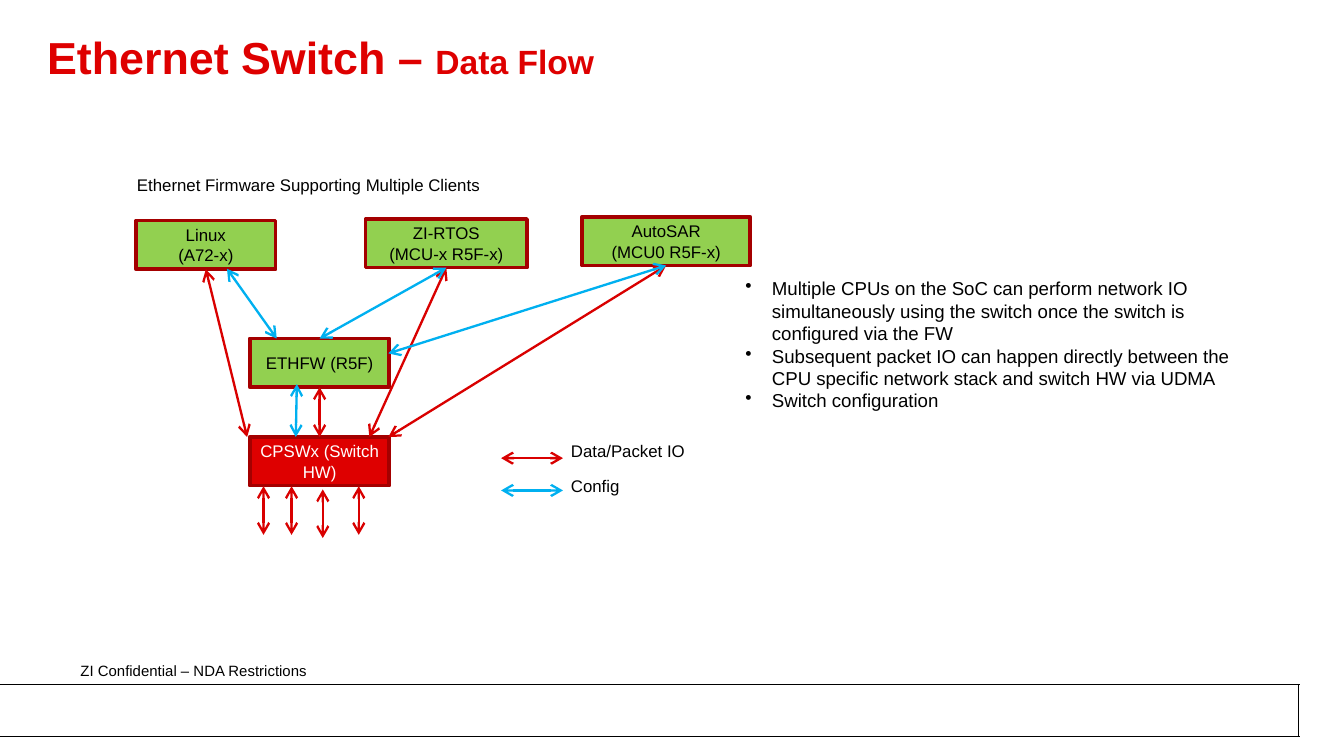
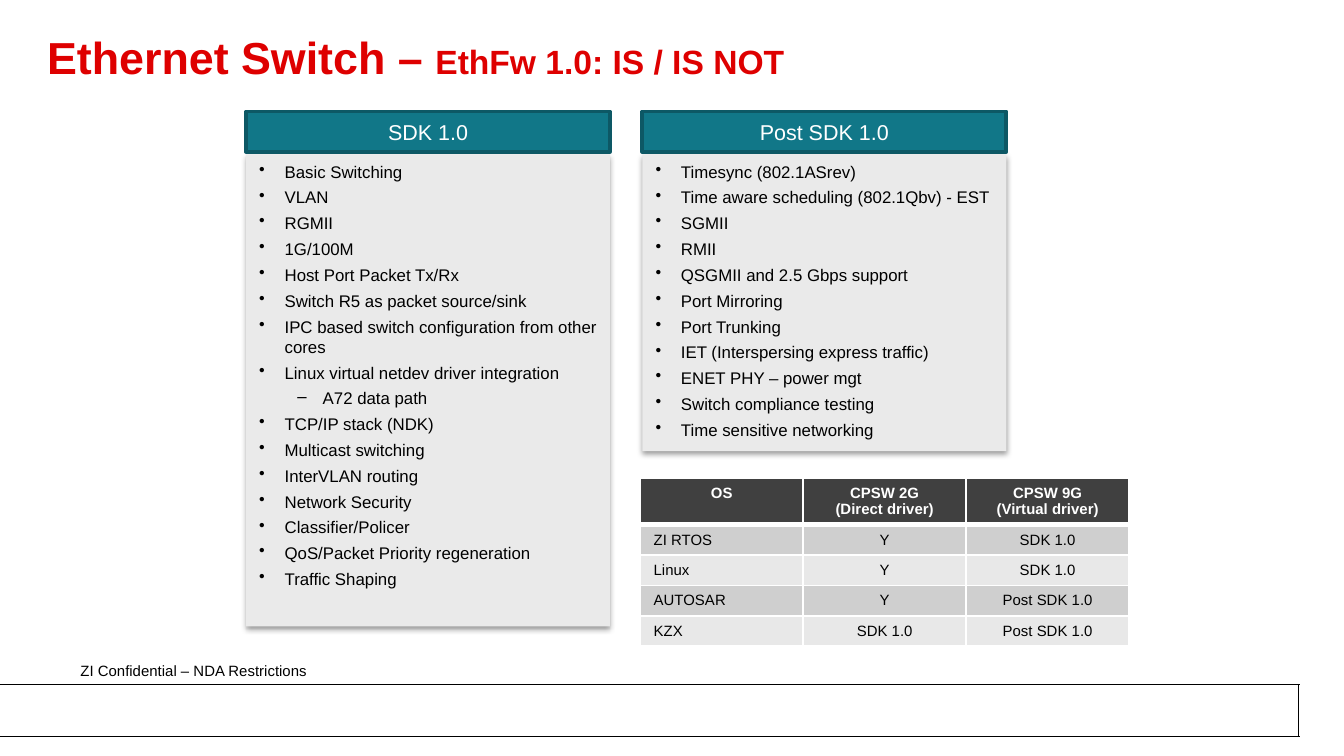
from lxml import etree
from pptx import Presentation
from pptx.dml.color import RGBColor
from pptx.enum import shapes, text
from pptx.oxml import parse_xml
from pptx.oxml import ns
from pptx.util import Cm, Pt

RED, WIRE, EDGE, BLUE = "DE0000", "D90000", "A40000", "00B0F0"
GREEN, TEAL, DEEP = "92D050", "117788", "0D5865"
BLACK, WHITE, PANEL = "000000", "FFFFFF", "EAEAEA"
DARK, BANDS = "404040", ("CFCFCF", "E8E8E8")
LEFT, MID = text.PP_ALIGN.LEFT, text.PP_ALIGN.CENTER
TIGHT = (0.15, 0.08)
WIDE = (0.25, 0.13)

DONE = [
    "Basic Switching", "VLAN", "RGMII", "1G/100M",
    "Host Port Packet Tx/Rx", "Switch R5 as packet source/sink",
    "IPC based switch configuration from other cores",
    "Linux virtual netdev driver integration", "– A72 data path",
    "TCP/IP stack (NDK)", "Multicast switching", "InterVLAN routing",
    "Network Security", "Classifier/Policer",
    "QoS/Packet Priority regeneration", "Traffic Shaping",
]
LATER = [
    "Timesync (802.1ASrev)", "Time aware scheduling (802.1Qbv) - EST",
    "SGMII", "RMII", "QSGMII and 2.5 Gbps support", "Port Mirroring",
    "Port Trunking", "IET (Interspersing express traffic)",
    "ENET PHY – power mgt", "Switch compliance testing",
    "Time sensitive networking",
]
NOTES = [
    "Multiple CPUs on the SoC can perform network IO simultaneously "
    "using the switch once the switch is configured via the FW",
    "Subsequent packet IO can happen directly between the CPU specific "
    "network stack and switch HW via UDMA",
    "Switch configuration",
]
GRID = [
    ["OS", "CPSW 2G\n(Direct driver)", "CPSW 9G\n(Virtual driver)"],
    ["ZI RTOS", "Y", "SDK 1.0"],
    ["Linux", "Y", "SDK 1.0"],
    ["AUTOSAR", "Y", "Post SDK 1.0"],
    ["KZX", "SDK 1.0", "Post SDK 1.0"],
]


def paint(hue):
    return RGBColor.from_string(hue)


def style(run, size, hue, bold=False):
    look = {"name": "Arial", "size": Pt(size), "bold": bold}
    for key, value in look.items():
        setattr(run.font, key, value)
    run.font.color.rgb = paint(hue)


def bullet(par, sign, left, hang):
    props = par._p.get_or_add_pPr()
    props.set("marL", str(Cm(left)))
    props.set("indent", str(-Cm(hang)))
    etree.SubElement(props, ns.qn("a:buChar")).set("char", sign)


def write(frame, lines, size, hue, align=LEFT, bold=False, hang=0, gap=0):
    for i, line in enumerate(lines):
        par = frame.paragraphs[0] if i == 0 else frame.add_paragraph()
        if hang:
            deep = line.startswith("– ")
            bullet(par, "–" if deep else "•", 1.2 if deep else hang, hang)
            line = line.removeprefix("– ")
        par.alignment = align
        if gap and i:
            par.space_before = Pt(gap)
        run = par.add_run()
        run.text = line
        style(run, size, hue, bold)


def setup(frame, pad, anchor, wrap=True):
    side, top = map(Cm, pad)
    look = {"margin_left": side, "margin_right": side, "margin_top": top,
            "margin_bottom": top, "vertical_anchor": anchor,
            "word_wrap": wrap, "auto_size": text.MSO_AUTO_SIZE.NONE}
    for key, value in look.items():
        setattr(frame, key, value)


def block(slide, area, fill, edge=None, lines=(), size=9, hue=BLACK,
          align=MID, anchor=text.MSO_ANCHOR.MIDDLE, pad=TIGHT, **more):
    box = slide.shapes.add_shape(shapes.MSO_SHAPE.RECTANGLE, *map(Cm, area))
    box.shadow.inherit = False
    box.fill.solid()
    box.fill.fore_color.rgb = paint(fill)
    if edge:
        box.line.color.rgb = paint(edge)
        box.line.width = Pt(2)
    else:
        box.line.fill.background()
    setup(box.text_frame, pad, anchor)
    write(box.text_frame, lines, size, hue, align, **more)
    return box


def label(slide, area, words, size=9, pad=TIGHT, wrap=True):
    box = slide.shapes.add_textbox(*map(Cm, area))
    setup(box.text_frame, pad, text.MSO_ANCHOR.TOP, wrap)
    write(box.text_frame, [words], size, BLACK)


def rule(slide, start, end, hue=BLACK, width=0.25):
    line = slide.shapes.add_connector(
        shapes.MSO_CONNECTOR.STRAIGHT, *map(Cm, start + end))
    line.line.color.rgb = paint(hue)
    line.line.width = Pt(width)
    etree.SubElement(line._element.spPr, ns.qn("a:effectLst"))
    return line


def wire(slide, start, end, hue=WIRE):
    ends = (start, end)
    spots = [(0, 0) if hasattr(e[0], "shape_id") else e for e in ends]
    line = rule(slide, *spots, hue, 1.25)
    for e, join in zip(ends, (line.begin_connect, line.end_connect)):
        if hasattr(e[0], "shape_id"):
            join(*e)
    for tag in ("a:headEnd", "a:tailEnd"):
        etree.SubElement(line.line._ln, ns.qn(tag)).set("type", "arrow")


def shade(box):
    old = box._element.spPr.find(ns.qn("a:effectLst"))
    new = parse_xml(
        f'<a:effectLst {ns.nsdecls("a")}><a:outerShdw blurRad="{Pt(3.1)}" '
        f'dist="{Pt(1.6)}" dir="5400000" rotWithShape="0">'
        f'<a:srgbClr val="{BLACK}"><a:alpha val="38000"/></a:srgbClr>'
        '</a:outerShdw></a:effectLst>')
    old.getparent().replace(old, new)


def border(cell, side, width):
    cell._tc.get_or_add_tcPr().append(parse_xml(
        f'<a:ln{side} {ns.nsdecls("a")} w="{Pt(width)}"><a:solidFill>'
        f'<a:srgbClr val="{WHITE}"/></a:solidFill></a:ln{side}>'))


def grid(slide, left, top, width, tall, row):
    rows, cols = len(GRID), len(GRID[0])
    table = slide.shapes.add_table(
        rows, cols, Cm(left), Cm(top), Cm(width * cols),
        Cm(tall + row * (rows - 1))).table
    for col in table.columns:
        col.width = Cm(width)
    for r, words in enumerate(GRID):
        head = r == 0
        table.rows[r].height = Cm(tall if head else row)
        for c, word in enumerate(words):
            cell = table.cell(r, c)
            for side in "LRTB":
                thick = (head and side == "B") or (r == 1 and side == "T")
                border(cell, side, 3 if thick else 1)
            cell.fill.solid()
            cell.fill.fore_color.rgb = paint(DARK if head else BANDS[1 - r % 2])
            write(cell.text_frame, word.split("\n"), 8,
                  WHITE if head else BLACK, MID if head or c else LEFT, head)


def page(deck, topic):
    slide = deck.slides.add_slide(deck.slide_layouts[5])
    block(slide, (0.13, 13.18, 24.28, 0.97), WHITE)
    block(slide, (0, 12.93, 24.54, 0.97), WHITE)
    for y in (13.92, 12.93):
        rule(slide, (0, y), (24.56, y))
    rule(slide, (24.54, 13.92), (24.54, 12.93))
    label(slide, (1.27, 12.37, 7.04, 0.61),
          "ZI Confidential – NDA Restrictions", 8, WIDE)
    title = slide.shapes.title
    area = {"left": 0.64, "top": 0.3, "width": 23.5, "height": 1.7}
    for key, value in area.items():
        setattr(title, key, Cm(value))
    setup(title.text_frame, WIDE, text.MSO_ANCHOR.MIDDLE)
    par = title.text_frame.paragraphs[0]
    par.alignment = LEFT
    par.line_spacing = 0.85
    for words, size in (("Ethernet Switch – ", 24), (topic, 18)):
        run = par.add_run()
        run.text = words
        style(run, size, RED, True)
    return slide


def flow(deck):
    slide = page(deck, "Data Flow")
    label(slide, (2.44, 3.23, 8.94, 0.53),
          "Ethernet Firmware Supporting Multiple Clients")

    def node(x, y, width, *lines, fill=GREEN, hue=BLACK):
        return block(slide, (x, y, width, 0.92), fill, EDGE, lines, hue=hue)

    linux = node(2.57, 4.17, 2.64, "Linux", "(A72-x)")
    rtos = node(6.91, 4.14, 3.05, "ZI-RTOS", "(MCU-x R5F-x)")
    auto = node(11, 4.1, 3.18, "AutoSAR", "(MCU0 R5F-x)")
    firm = node(4.72, 6.4, 2.64, "ETHFW (R5F)")
    switch = node(4.72, 8.26, 2.64, "CPSWx (Switch HW)", fill=RED, hue=WHITE)

    wire(slide, (rtos, 2), (6.98, 8.26))
    wire(slide, (firm, 2), (switch, 0))
    wire(slide, (auto, 2), (7.34, 8.26))
    wire(slide, (linux, 2), (4.67, 8.26))
    for x, y in ((4.98, 9.19), (5.51, 9.19), (6.1, 9.25), (6.78, 9.19)):
        wire(slide, (x, y), (x, y + 0.92))
    wire(slide, (7.34, 6.68), (auto, 2), BLUE)
    wire(slide, (firm, 0), (rtos, 2), BLUE)
    wire(slide, (5.23, 6.4), (4.29, 5.08), BLUE)
    wire(slide, (5.59, 8.26), (5.61, 7.26), BLUE)

    block(slide, (13.94, 5.16, 10.19, 2.72), WHITE, lines=NOTES, size=10,
          align=LEFT, anchor=text.MSO_ANCHOR.TOP, hang=0.5)
    for y, top, width, words, hue in (
            (8.66, 8.26, 2.49, "Data/Packet IO", WIRE),
            (9.27, 8.92, 1.24, "Config", BLUE)):
        wire(slide, (9.47, y), (10.64, y), hue)
        label(slide, (10.64, top, width, 0.53), words, wrap=False)


def scope(deck):
    slide = page(deck, "EthFw 1.0: IS / IS NOT")
    for x, height, head, items in ((4.65, 8.92, "SDK 1.0", DONE),
                                   (12.14, 5.61, "Post SDK 1.0", LATER)):
        shade(block(slide, (x, 2.92, 6.88, height), PANEL, lines=items,
                    align=LEFT, anchor=text.MSO_ANCHOR.TOP, pad=WIDE,
                    hang=0.48, gap=3))
        block(slide, (x, 2.11, 6.88, 0.76), TEAL, DEEP, [head], 11.5, WHITE)
    grid(slide, 12.1, 9.03, 3.08, 0.86, 0.57)


def main():
    deck = Presentation()
    deck.slide_width, deck.slide_height = Cm(25.4), Cm(14.29)
    flow(deck)
    scope(deck)
    deck.save("out.pptx")


if __name__ == "__main__":
    main()
